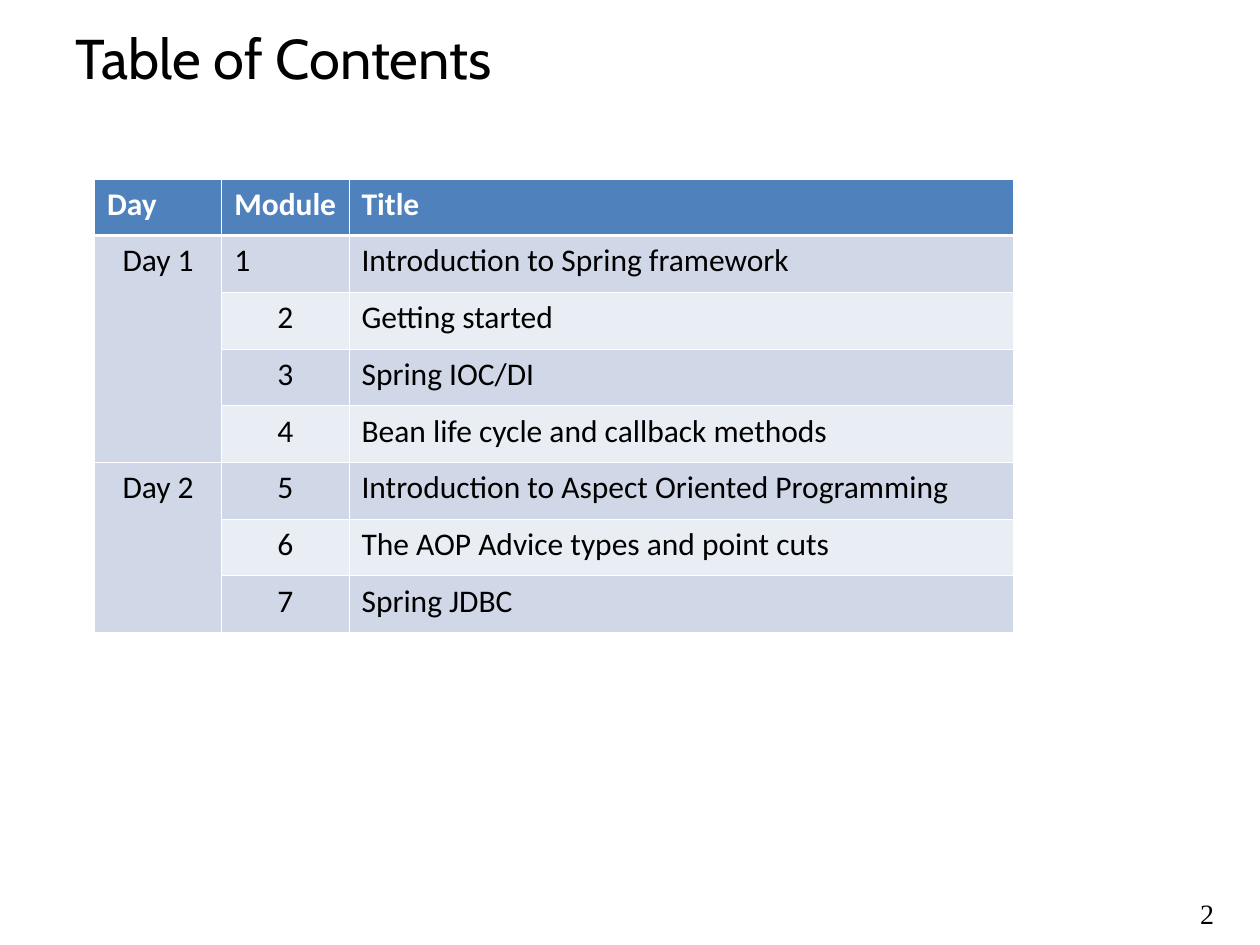
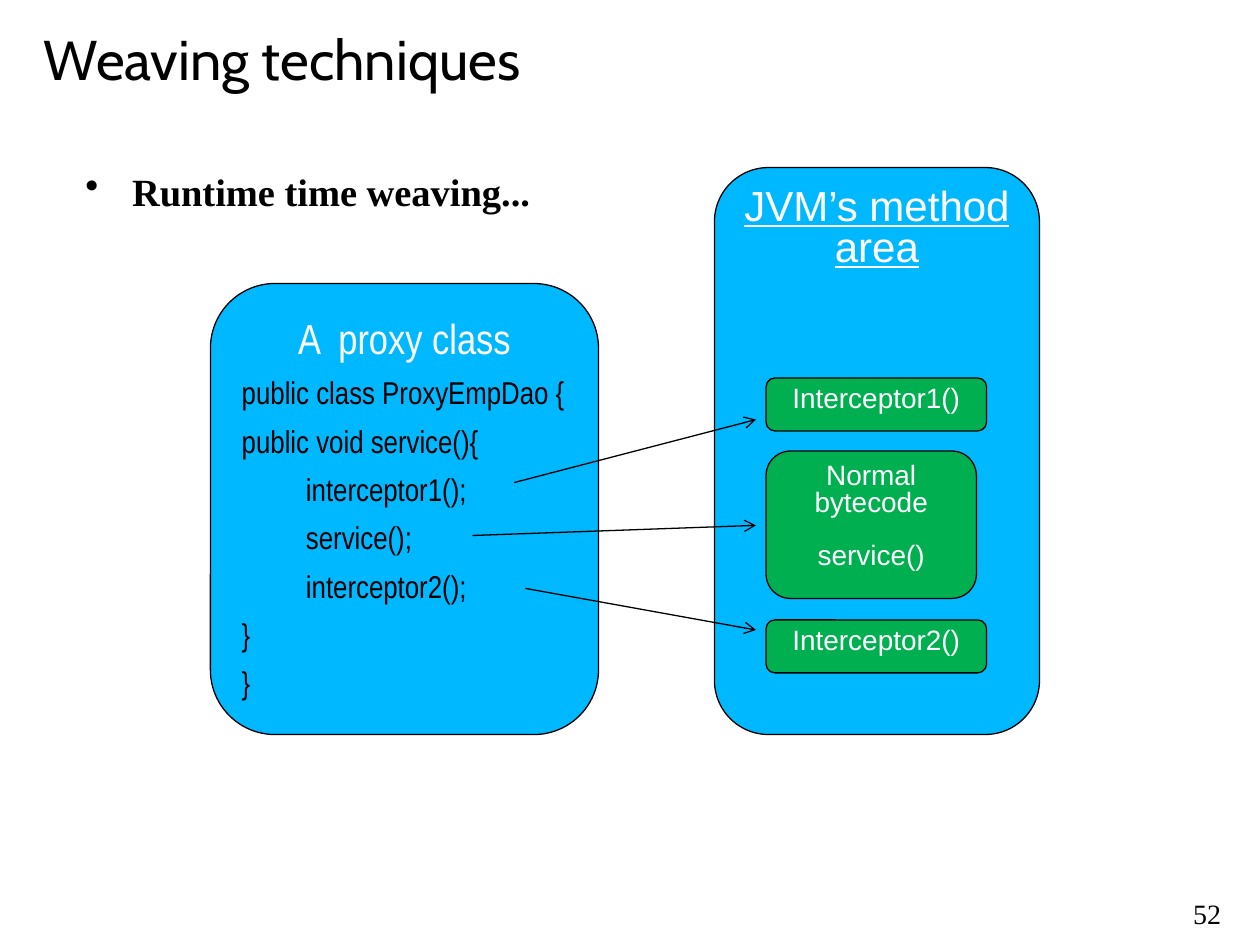
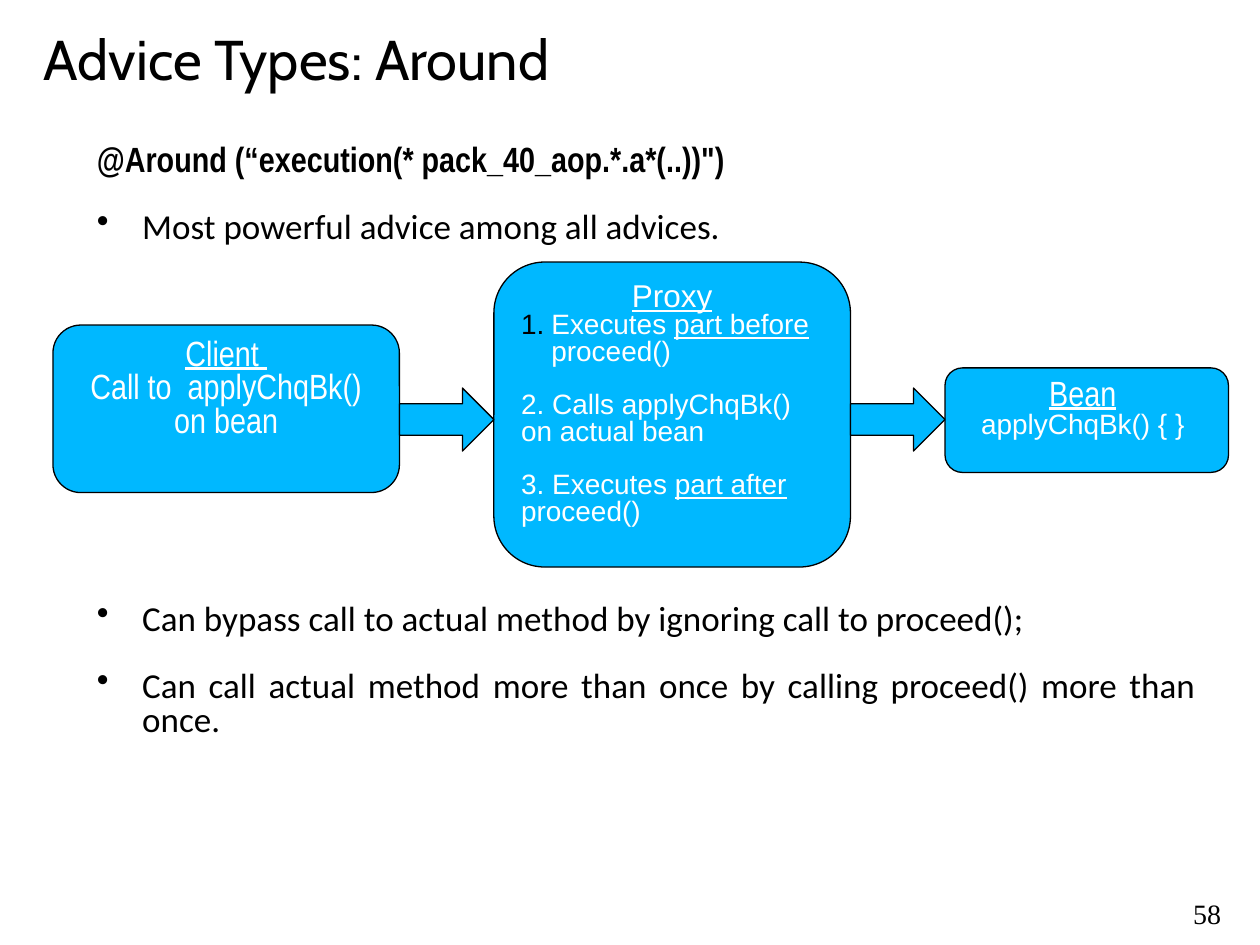
"""Build three slides of a Spring course: contents, weaving and around advice."""
from lxml import etree
from pptx import Presentation
from pptx import util as u
from pptx.dml.color import RGBColor
from pptx.enum import shapes, text
from pptx.oxml import ns

BLACK = RGBColor(0x00, 0x00, 0x00)
WHITE = RGBColor(0xFF, 0xFF, 0xFF)
SKY = RGBColor(0x00, 0xB8, 0xFF)
GREEN = RGBColor(0x00, 0xB0, 0x50)
HEADER = RGBColor(0x4F, 0x81, 0xBD)
BANDS = [RGBColor(0xE9, 0xED, 0xF4), RGBColor(0xD0, 0xD8, 0xE8)]
LEFT, CENTER, JUSTIFY = text.PP_ALIGN.LEFT, text.PP_ALIGN.CENTER, text.PP_ALIGN.JUSTIFY
ROUNDED = shapes.MSO_SHAPE.ROUNDED_RECTANGLE
ARROW = shapes.MSO_SHAPE.RIGHT_ARROW


def write(frame, lines, font, size, color=BLACK, align=LEFT, spacing=0.8, hang=0.0):
    """Fill a frame; a leading mark makes a bullet and bars enclose underlined spans."""
    frame.word_wrap = True
    for index, line in enumerate(lines):
        para = frame.paragraphs[0] if index == 0 else frame.add_paragraph()
        mark = line.split(" ")[0]
        if mark in ("•", "1."):
            line = line[len(mark) + 1:]
            props = para._p.get_or_add_pPr()
            props.set("marL", str(u.Inches(hang)))
            props.set("indent", str(-u.Inches(hang)))
            tint = etree.SubElement(props, ns.qn("a:buClr"))
            etree.SubElement(tint, ns.qn("a:srgbClr"), val=str(BLACK))
            if mark == "•":
                etree.SubElement(props, ns.qn("a:buChar"), char=mark)
            else:
                etree.SubElement(props, ns.qn("a:buAutoNum"), type="arabicPeriod")
        para.alignment, para.line_spacing = align, spacing
        para.font.name, para.font.size = font, u.Pt(size)
        para.font.color.rgb = color
        for turn, part in enumerate(line.split("|")):
            if part:
                span = para.add_run()
                span.text = part
                if turn % 2:
                    span.font.underline = True
    return frame.paragraphs


def add_panel(page, kind, place, fill):
    """Add a filled preset shape with a thin black outline."""
    panel = page.shapes.add_shape(kind, *map(u.Inches, place))
    panel.shadow.inherit = False
    panel.fill.solid()
    panel.fill.fore_color.rgb = fill
    panel.line.color.rgb = BLACK
    panel.line.width = u.Pt(0.75)
    panel.text_frame.vertical_anchor = text.MSO_ANCHOR.TOP
    return panel


deck = Presentation()
deck.slide_width, deck.slide_height = u.Inches(10), u.Inches(7.5)

pages = []
for title, number, place in [
    ("Table of Contents", "2", (0.5, 0.08, 8.5, 0.75)),
    ("Weaving techniques", "52", (0.25, 0, 9.5, 0.92)),
    ("Advice Types: Around", "58", (0.25, 0, 9.5, 0.92)),
]:
    page = deck.slides.add_slide(deck.slide_layouts[6])
    box = page.shapes.add_textbox(*map(u.Inches, place))
    box.text_frame.vertical_anchor = text.MSO_ANCHOR.MIDDLE
    write(box.text_frame, [title], "Cabin", 32, spacing=1.0)
    box = page.shapes.add_textbox(*map(u.Inches, (9.02, 7.12, 1.12, 0.32)))
    write(box.text_frame, [number], "Times New Roman", 16, align=CENTER)
    pages.append(page)
contents, weaving, around = pages

rows = [
    ("Day", "Module", "Title"),
    ("Day 1", "1", "Introduction to Spring framework"),
    ("", "2", "Getting started"),
    ("", "3", "Spring IOC/DI"),
    ("", "4", "Bean life cycle and callback methods"),
    ("Day 2", "5", "Introduction to Aspect Oriented Programming"),
    ("", "6", "The AOP Advice types and point cuts"),
    ("", "7", "Spring JDBC"),
]
table = contents.shapes.add_table(
    len(rows), 3, *map(u.Inches, (0.75, 1.42, 7.28, 3.6))).table
for column, width in zip(table.columns, (1.01, 1.01, 5.27)):
    column.width = u.Inches(width)
for r, row in enumerate(rows):
    table.rows[r].height = u.Inches(0.45)
    for c, label in enumerate(row):
        cell = table.cell(r, c)
        centered = c < 2 and r > 0 and label != "1"
        if label:
            para = write(cell.text_frame, [label], "Calibri", 18,
                         BLACK if r else WHITE, CENTER if centered else LEFT, 1.0)[0]
            para.font.bold = r == 0
        props = cell._tc.get_or_add_tcPr()
        for side in ("lnL", "lnR", "lnT", "lnB"):
            thick = (r, side) in ((0, "lnB"), (1, "lnT"))
            border = etree.SubElement(props, ns.qn("a:" + side),
                                      w=str(u.Pt(1.5 if thick else 0.5)))
            paint = etree.SubElement(border, ns.qn("a:solidFill"))
            etree.SubElement(paint, ns.qn("a:srgbClr"), val=str(WHITE))
        cell.fill.solid()
        cell.fill.fore_color.rgb = BANDS[r % 2] if r else HEADER
for first, last in ((1, 4), (5, 7)):
    table.cell(first, 0).merge(table.cell(last, 0))

box = weaving.shapes.add_textbox(*map(u.Inches, (0.58, 1.25, 8.83, 0.67)))
box.text_frame.margin_top = u.Inches(0.08)
para = write(box.text_frame, ["• Runtime time weaving..."], "Times New Roman", 22,
             spacing=1.0, hang=0.37)[0]
para.font.bold = True

method_area = add_panel(weaving, ROUNDED, (5.67, 1.33, 2.58, 4.5), SKY)
write(method_area.text_frame, ["|JVM’s method area|"], "Arial", 24, WHITE, CENTER)
for place, lines in [
    ((6.08, 3.58, 1.67, 1.17), ["Normal bytecode", "service()"]),
    ((6.08, 3, 1.75, 0.42), ["Interceptor1()"]),
    ((6.08, 4.92, 1.75, 0.42), ["Interceptor2()"]),
]:
    method = add_panel(weaving, ROUNDED, place, GREEN)
    for para in write(method.text_frame, lines, "Arial", 16, WHITE, CENTER)[1:]:
        para.space_before = u.Pt(15)

proxy_class = add_panel(weaving, ROUNDED, (1.67, 2.25, 3.08, 3.58), SKY)
proxy_class.text_frame.margin_top = u.Inches(0.08)
heading, *code = write(proxy_class.text_frame, [
    "A  proxy class", "public class ProxyEmpDao {", "public void service(){",
    "interceptor1();", "service();", "interceptor2();", "}", "}",
], "Arial Narrow", 18, spacing=1.0)
heading.alignment = CENTER
heading.font.size, heading.font.color.rgb = u.Pt(24), WHITE
for para in code:
    para.space_before = u.Pt(6)
for para in code[2:5]:
    para._p.get_or_add_pPr().set("marL", str(u.Inches(0.51)))

for ends in [(4.08, 3.83, 6, 3.33), (3.75, 4.25, 6, 4.17), (4.17, 4.67, 6, 5)]:
    call = weaving.shapes.add_connector(shapes.MSO_CONNECTOR.STRAIGHT, *map(u.Inches, ends))
    call.line.color.rgb = BLACK
    call.line.width = u.Pt(0.75)
    etree.SubElement(call.line._get_or_add_ln(), ns.qn("a:tailEnd"), type="arrow")
    etree.SubElement(call._element.spPr, ns.qn("a:effectLst"))

box = around.shapes.add_textbox(*map(u.Inches, (0.67, 1.11, 8.92, 0.9)))
annotation, remark = write(box.text_frame, [
    "@Around (“execution(* pack_40_aop.*.a*(..))\")",
    "• Most powerful advice among all advices.",
], "Calibri", 20, hang=0.36)
annotation.font.name, annotation.font.bold = "Arial Narrow", True
remark.alignment, remark.space_before = JUSTIFY, u.Pt(19)

client = add_panel(around, ROUNDED, (0.42, 2.58, 2.75, 1.33), SKY)
write(client.text_frame, ["|Client |", "Call to  applyChqBk() on bean"],
      "Arial Narrow", 20, WHITE, CENTER)

proxy = add_panel(around, ROUNDED, (3.92, 2.08, 2.83, 2.42), SKY)
heading, *steps = write(proxy.text_frame, [
    "|Proxy|", "1. Executes |part before |proceed()",
    "2. Calls applyChqBk() on actual bean", "3. Executes |part after |proceed()",
], "Arial", 16, WHITE, hang=0.24)
heading.alignment, heading.font.size = CENTER, u.Pt(18)
for para in steps[1:]:
    para.space_before = u.Pt(15)

bean = add_panel(around, ROUNDED, (7.5, 2.92, 2.25, 0.83), SKY)
heading, method = write(bean.text_frame, ["|Bean| ", "applyChqBk() { } "],
                        "Arial", 16, WHITE, CENTER)
heading.font.name, heading.font.size = "Arial Narrow", u.Pt(20)

for left in (3.17, 6.75):
    add_panel(around, ARROW, (left, 3.08, 0.75, 0.5), SKY)

box = around.shapes.add_textbox(*map(u.Inches, (0.67, 4.75, 8.92, 1.21)))
bypass, repeat = write(box.text_frame, [
    "• Can bypass call to actual method by ignoring call to proceed();",
    "• Can call actual method more than once by calling proceed() more than once.",
], "Calibri", 20, align=JUSTIFY, hang=0.36)
repeat.space_before = u.Pt(19)

deck.save("out.pptx")
